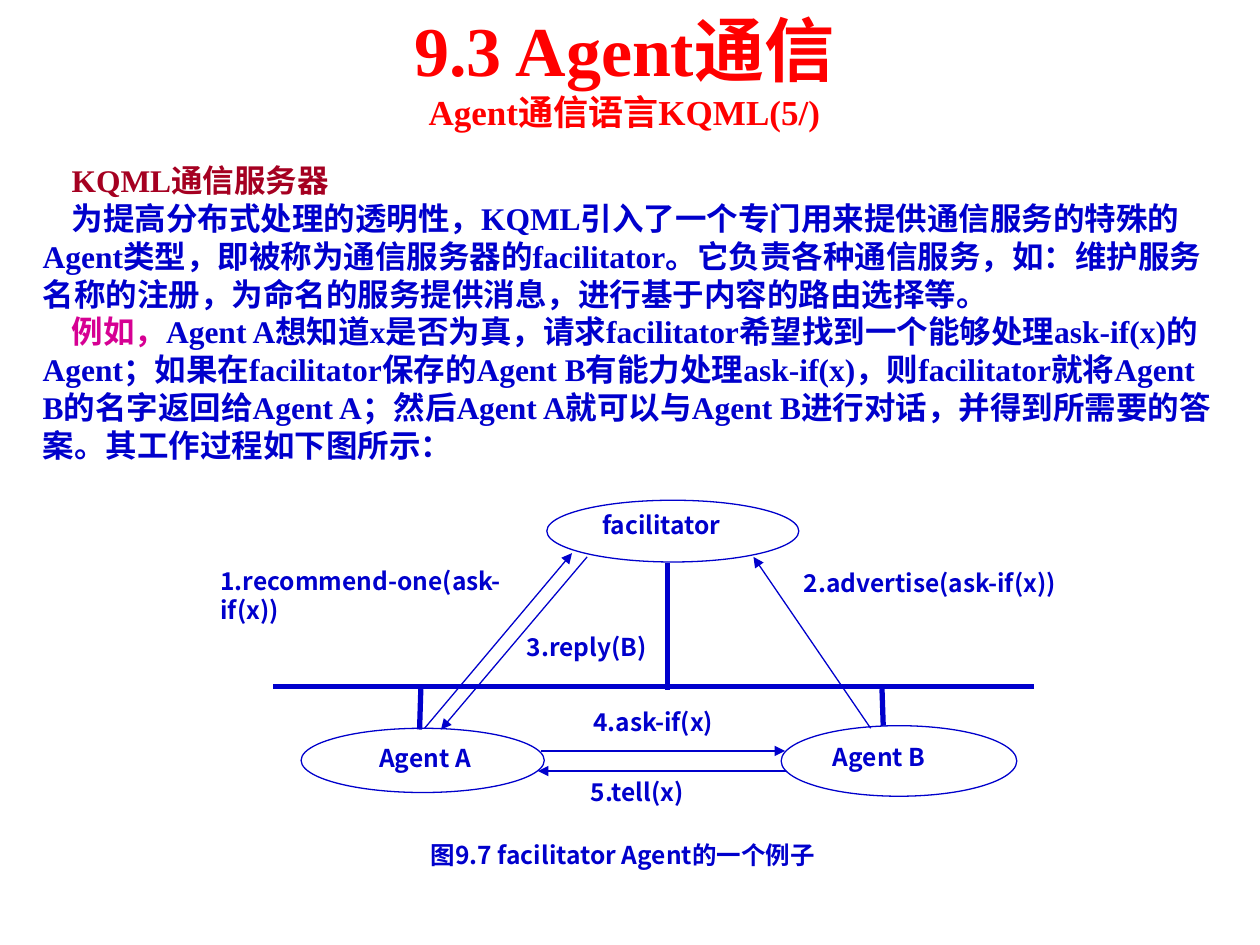
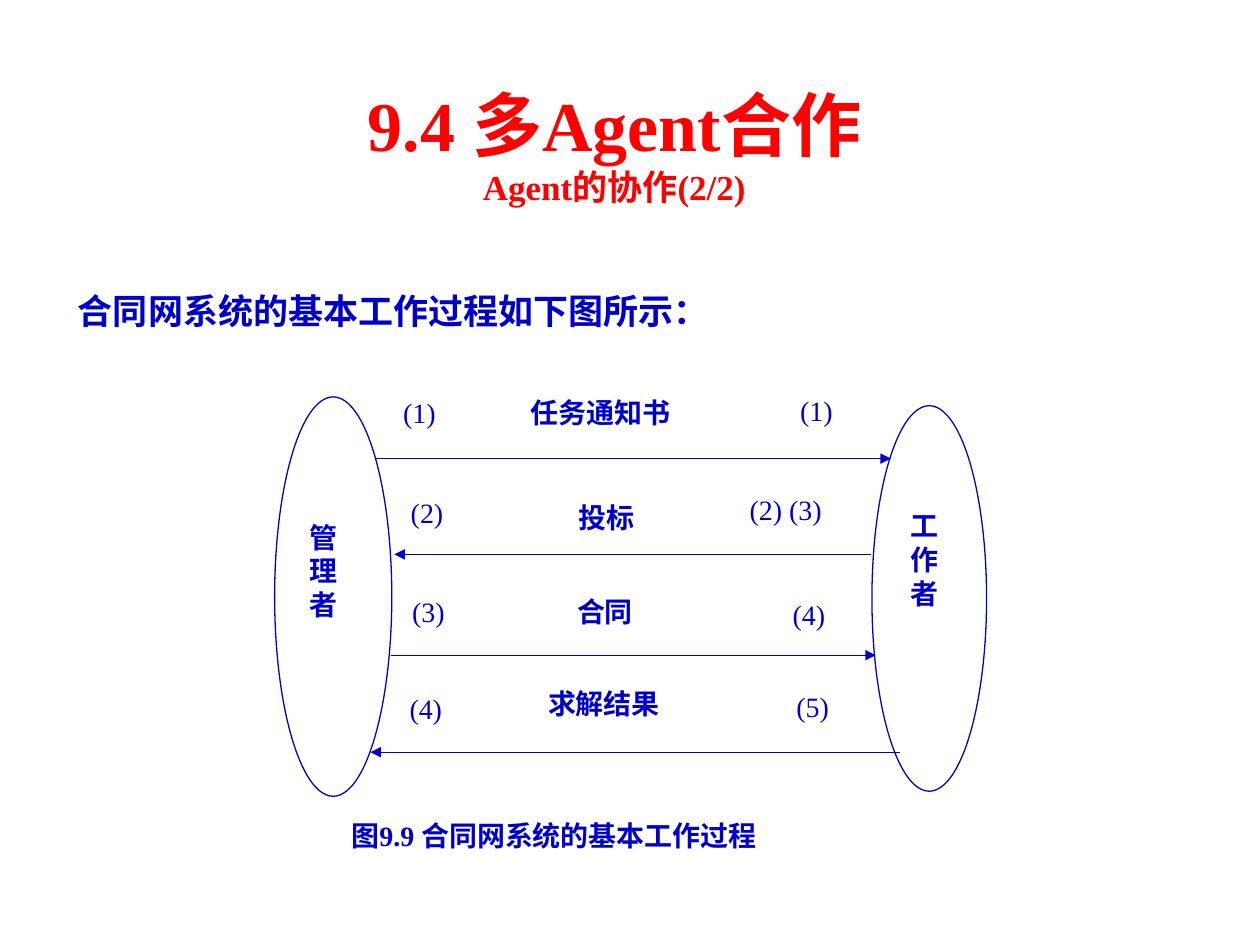
from lxml import etree
from pptx import Presentation
from pptx.dml.color import RGBColor
from pptx.enum.shapes import MSO_CONNECTOR, MSO_SHAPE
from pptx.enum.text import PP_ALIGN
from pptx.oxml.ns import qn
from pptx.util import Inches, Pt

STRAIGHT = MSO_CONNECTOR.STRAIGHT
OVAL = MSO_SHAPE.OVAL
LEFT, CENTER, JUSTIFY = PP_ALIGN.LEFT, PP_ALIGN.CENTER, PP_ALIGN.JUSTIFY

BLUE = RGBColor(0x00, 0x00, 0xCC)
RED = RGBColor(0xFF, 0x00, 0x00)
CRIMSON = RGBColor(0xA5, 0x00, 0x21)
MAGENTA = RGBColor(0xD6, 0x00, 0x93)
WHITE = RGBColor(0xFF, 0xFF, 0xFF)

SERIF = "Times New Roman"
SANS = "Noto Sans CJK SC"
THIN, THICK = 0.75, 3


def add_span(para, text, size, color=BLUE, name=SERIF, bold=True):
    """Append a run with its Latin and East Asian fonts."""
    span = para.add_run()
    span.text = text
    formats = {"size": Pt(size), "name": name, "bold": bold}
    for key, value in formats.items():
        setattr(span.font, key, value)
    span.font.color.rgb = color
    east_asian = etree.SubElement(span.font._element, qn("a:ea"))
    east_asian.set("typeface", SANS)


def add_text(page, place, paras, align=LEFT, margins=(0.1, 0.05), indent=0):
    """Add a wrapped text box; each paragraph is a list of span arguments."""
    box = page.shapes.add_textbox(*map(Inches, place))
    frame = box.text_frame
    side, top = map(Inches, margins)
    formats = {"word_wrap": True, "margin_left": side, "margin_right": side,
               "margin_top": top, "margin_bottom": top}
    for key, value in formats.items():
        setattr(frame, key, value)
    for number, spans in enumerate(paras):
        para = frame.add_paragraph() if number else frame.paragraphs[0]
        para.alignment = align
        if indent:
            properties = para._p.get_or_add_pPr()
            properties.set("marL", "0")
            properties.set("indent", str(Inches(indent)))
        for span in spans:
            add_span(para, *span)
    return box


def add_title(page, left, top, heading, subheading):
    """Add the centred red heading with its smaller second line."""
    add_text(page, (left, top, 6.61, 1.1),
             [[(heading, 40, RED)], [(subheading, 20, RED)]], CENTER)


def add_label(page, place, *spans, side=0.02):
    """Add a white diagram label."""
    box = add_text(page, place, [spans], JUSTIFY, (side, 0.01))
    box.fill.solid()
    box.fill.fore_color.rgb = WHITE


def add_ellipse(page, place):
    """Add a white ellipse with a thin blue outline."""
    ellipse = page.shapes.add_shape(OVAL, *map(Inches, place))
    ellipse.shadow.inherit = False
    ellipse.fill.solid()
    ellipse.fill.fore_color.rgb = WHITE
    ellipse.line.color.rgb = BLUE
    ellipse.line.width = Pt(THIN)


def add_line(page, ends, width=THIN, arrow=False):
    """Add a straight blue line, with an arrowhead at its end if asked."""
    line = page.shapes.add_connector(STRAIGHT, *map(Inches, ends))
    line.line.color.rgb = BLUE
    line.line.width = Pt(width)
    if arrow:
        head = etree.SubElement(line.line._get_or_add_ln(), qn("a:tailEnd"))
        head.set("type", "triangle")
    etree.SubElement(line._element.spPr, qn("a:effectLst"))


def build_facilitator_page(page):
    """Build the page on the KQML facilitator."""
    service = (
        "为提高分布式处理的透明性，KQML引入了一个专门用来提供通信服务的特殊的"
        "Agent类型，即被称为通信服务器的facilitator。它负责各种通信服务，如：维护服务"
        "名称的注册，为命名的服务提供消息，进行基于内容的路由选择等。")
    example = (
        "Agent A想知道x是否为真，请求facilitator希望找到一个能够处理ask-if(x)的Agent；"
        "如果在facilitator保存的Agent B有能力处理ask-if(x)，则facilitator就将Agent B的"
        "名字返回给Agent A；然后Agent A就可以与Agent B进行对话，并得到所需要的答案。"
        "其工作过程如下图所示：")
    add_text(page, (0.24, 1.23, 9.57, 2.5), [
        [("KQML通信服务器", 18, CRIMSON)],
        [(service, 18)],
        [("例如，", 18, MAGENTA), (example, 18)],
    ], indent=0.23)

    agents = [
        ("facilitator", (4.34, 3.97, 2, 0.49), (4.76, 4.04, 1.16, 0.29)),
        ("Agent A", (2.39, 5.78, 1.93, 0.51), (2.99, 5.89, 0.79, 0.3)),
        ("Agent B", (6.2, 5.76, 1.87, 0.56), (6.59, 5.88, 0.88, 0.29)),
    ]
    for name, outline, place in agents:
        add_ellipse(page, outline)
        add_label(page, place, (name, 14, BLUE, SANS))

    bus = [(2.17, 5.45, 8.21, 5.45), (5.3, 4.47, 5.3, 5.48),
           (3.34, 5.47, 3.33, 5.79), (7, 5.47, 7.01, 5.76)]
    for ends in bus:
        add_line(page, ends, THICK)

    messages = [(3.37, 5.78, 4.54, 4.39), (4.66, 4.42, 3.5, 5.79),
                (6.91, 5.78, 5.98, 4.42), (4.29, 5.96, 6.23, 5.96),
                (6.24, 6.12, 4.27, 6.12)]
    for ends in messages:
        add_line(page, ends, arrow=True)

    captions = [
        ("1.recommend-one(ask-if(x))", (1.75, 4.48, 2.36, 0.33)),
        ("2.advertise(ask-if(x))", (6.38, 4.5, 2.05, 0.33)),
        ("3.reply(B)", (4.18, 5.01, 1, 0.29)),
        ("4.ask-if(x)", (4.71, 5.6, 1.1, 0.29)),
        ("5.tell(x)", (4.69, 6.16, 1.1, 0.29)),
        ("图9.7 facilitator Agent的一个例子", (3.42, 6.66, 3.74, 0.33)),
    ]
    for text, place in captions:
        add_label(page, place, (text, 14, BLUE, SANS), side=0)
    add_title(page, 1.65, 0, "9.3 Agent通信", "Agent通信语言KQML(5/)")


def build_contract_net_page(page):
    """Build the page on the contract net process."""
    roles = [
        ("管理者", (2.18, 3.15, 0.93, 3.17), (2.44, 4.12, 0.43, 1.36)),
        ("工作者", (6.92, 3.22, 0.91, 3.06), (7.21, 4.03, 0.43, 1.36)),
    ]
    for name, outline, place in roles:
        add_ellipse(page, outline)
        add_label(page, place, (name, 16))

    arrows = [(2.98, 3.64, 7.07, 3.64), (6.91, 4.4, 3.13, 4.4),
              (3.1, 5.2, 6.95, 5.2), (7.14, 5.97, 2.94, 5.97)]
    for ends in arrows:
        add_line(page, ends, arrow=True)

    messages = [
        ("任务通知书", (4.19, 3.13, 1.51, 0.39)),
        ("投标", (4.57, 3.96, 0.81, 0.39)),
        ("合同", (4.56, 4.71, 0.81, 0.39)),
        ("求解结果", (4.33, 5.44, 1.36, 0.39)),
    ]
    for text, place in messages:
        add_label(page, place, (text, 16))

    steps = [
        ("(1)", (3.18, 3.13, 0.51, 0.37)), ("(1)", (6.33, 3.11, 0.48, 0.44)),
        ("(2)", (3.24, 3.92, 0.56, 0.39)), ("(2) (3)", (5.93, 3.9, 0.89, 0.39)),
        ("(3)", (3.25, 4.71, 0.48, 0.4)), ("(4)", (6.27, 4.73, 0.48, 0.37)),
        ("(4)", (3.23, 5.48, 0.48, 0.37)), ("(5)", (6.3, 5.46, 0.56, 0.39)),
    ]
    for text, place in steps:
        add_label(page, place, (text, 16, BLUE, SERIF, False))

    add_label(page, (2.77, 6.49, 4.61, 0.46), ("图9.9 ", 16),
              ("合同网系统的基本工作过程", 16, BLUE, SANS))
    add_text(page, (0.27, 2.25, 5.79, 0.44),
             [[("合同网系统的基本工作过程如下图所示：", 20)]], indent=0.25)
    add_title(page, 1.57, 0.6, "9.4 多Agent合作", "Agent的协作(2/2)")


def main():
    """Build and save the deck."""
    deck = Presentation()
    deck.slide_width, deck.slide_height = Inches(10), Inches(7.5)
    blank = deck.slide_layouts[6]
    for build in (build_facilitator_page, build_contract_net_page):
        build(deck.slides.add_slide(blank))
    deck.save("out.pptx")


if __name__ == "__main__":
    main()
